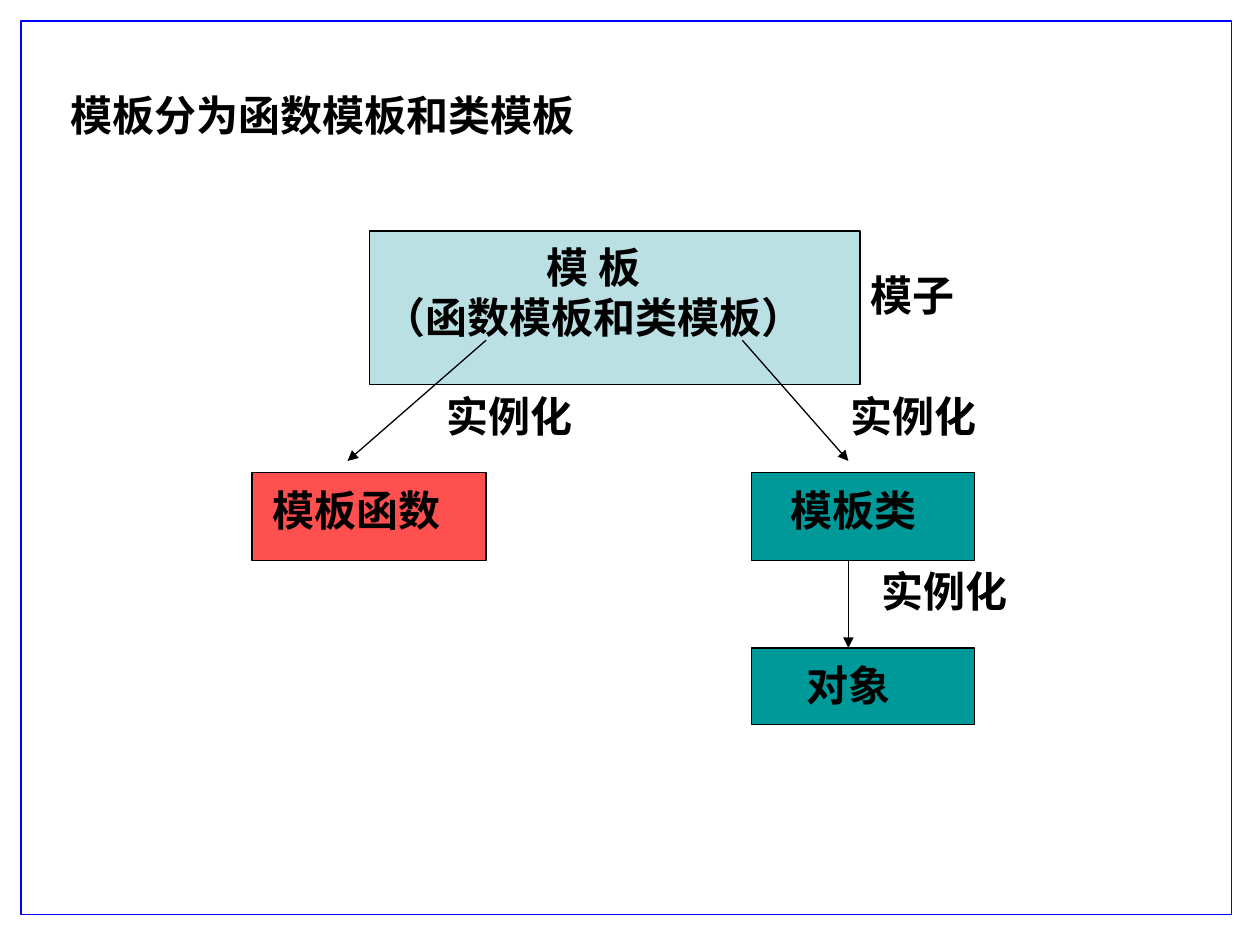
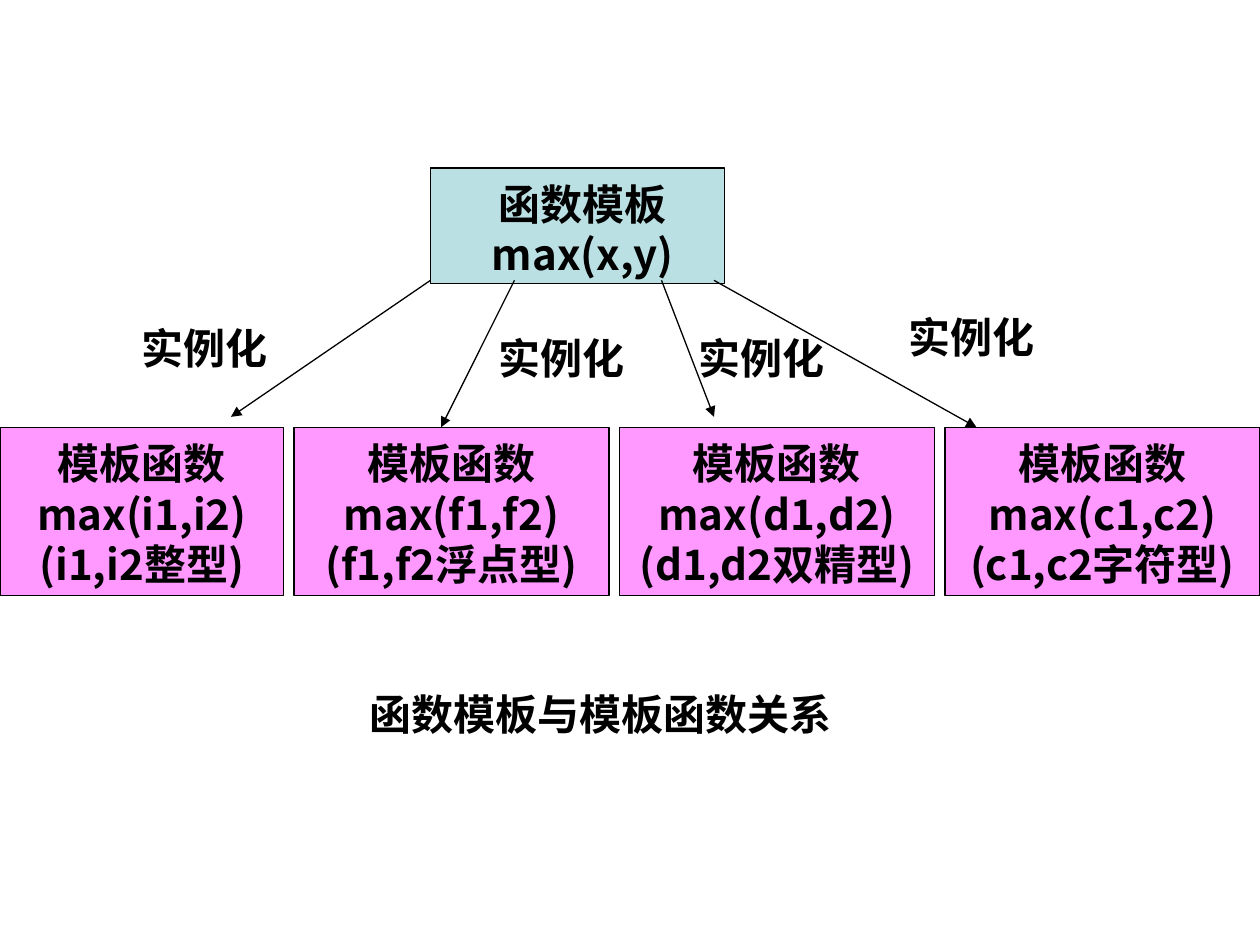
import pptx
import pptx.dml.color
import pptx.enum.shapes
import pptx.enum.text
import pptx.oxml
import pptx.oxml.ns
import pptx.util

COLORS = {
    "ink": "000000",
    "frame": "0000FF",
    "template": "BBE0E3",
    "function": "FF5050",
    "class": "009999",
    "instance": "FF99FF",
}
CJK_FONT = "Noto Sans CJK SC"
LATIN_FONT = "Arial"
INSTANTIATE = "实例化"


class TemplateDeck:
    """Draws boxes, labels and arrows on a grid of 120 columns by 90 rows."""

    def __init__(self):
        self.presentation = pptx.Presentation()
        self.presentation.slide_width = pptx.util.Inches(10)
        self.presentation.slide_height = pptx.util.Inches(7.5)
        self.column = self.presentation.slide_width / 120
        self.row = self.presentation.slide_height / 90
        self.slide = None

    def color(self, name):
        return pptx.dml.color.RGBColor.from_string(COLORS[name])

    def element(self, tag, attributes=""):
        namespace = pptx.oxml.ns.nsdecls("a")
        return pptx.oxml.parse_xml(f"<a:{tag} {namespace} {attributes}/>")

    def place(self, *cells):
        units = (self.column, self.row) * 2
        return [round(cell * unit) for cell, unit in zip(cells, units)]

    def add_slide(self, layout_index):
        layout = self.presentation.slide_layouts[layout_index]
        self.slide = self.presentation.slides.add_slide(layout)

    def text_run(self, paragraph, text, font_name=CJK_FONT):
        run = paragraph.add_run()
        run.text = text
        run.font.size = pptx.util.Pt(24)
        run.font.bold = True
        run.font.color.rgb = self.color("ink")
        run.font.name = font_name
        properties = run._r.get_or_add_rPr()
        properties.append(self.element("ea", f'typeface="{CJK_FONT}"'))

    def heading(self, text, cells):
        title = self.slide.shapes.title
        title.element.getparent().remove(title.element)
        body = self.slide.placeholders[1]
        body.left, body.top, body.width, body.height = self.place(*cells)
        frame = body.text_frame
        frame.auto_size = pptx.enum.text.MSO_AUTO_SIZE.NONE
        frame.margin_top = pptx.util.Inches(0.54)
        paragraph = frame.paragraphs[0]
        properties = paragraph._p.get_or_add_pPr()
        properties.set("marL", str(pptx.util.Inches(0.21)))
        properties.set("indent", "0")
        properties.append(self.element("buNone"))
        paragraph.space_before = pptx.util.Pt(0)
        self.text_run(paragraph, text)

    def box(self, cells, fill=None, line="ink"):
        shape = self.slide.shapes.add_shape(
            pptx.enum.shapes.MSO_SHAPE.RECTANGLE, *self.place(*cells))
        shape.shadow.inherit = False
        if fill:
            shape.fill.solid()
            shape.fill.fore_color.rgb = self.color(fill)
        else:
            shape.fill.background()
        shape.line.color.rgb = self.color(line)
        shape.line.width = pptx.util.Pt(0.75)

    def label(self, lines, cells, centered=True, inset=False, font_name=CJK_FONT):
        frame = self.slide.shapes.add_textbox(*self.place(*cells)).text_frame
        frame.word_wrap = True
        if not inset:
            frame.margin_left = frame.margin_right = 0
            frame.margin_top = frame.margin_bottom = 0
        for index, text in enumerate(lines):
            paragraph = frame.add_paragraph() if index else frame.paragraphs[0]
            if centered:
                paragraph.alignment = pptx.enum.text.PP_ALIGN.CENTER
            self.text_run(paragraph, text, font_name)

    def note(self, text, cells, font_name=CJK_FONT):
        self.label([text], cells, False, True, font_name)

    def arrow(self, *cells):
        connector = self.slide.shapes.add_connector(
            pptx.enum.shapes.MSO_CONNECTOR.STRAIGHT, *self.place(*cells))
        connector.line.color.rgb = self.color("ink")
        connector.line.width = pptx.util.Pt(0.75)
        properties = connector._element.spPr
        outline = properties.find(pptx.oxml.ns.qn("a:ln"))
        outline.append(self.element("tailEnd", 'type="triangle"'))
        properties.append(self.element("effectLst"))


def draw_template_kinds(deck):
    deck.add_slide(1)
    deck.heading("模板分为函数模板和类模板", (3, 2, 113.4, 83.2))
    deck.box((2, 2, 115.3, 85.1), line="frame")

    deck.box((35.2, 22, 46.7, 14.6), "template")
    deck.label(["模 板", "（函数模板和类模板）"], (35.2, 23, 42.6, 9.6))
    deck.box((24, 45, 22.3, 8.4), "function")
    deck.label(["模板函数"], (26, 46.1, 16.2, 4.8), centered=False)
    deck.box((71.6, 45, 21.2, 8.4), "class")
    deck.label(["模板类"], (72.6, 46.1, 17.3, 4.8))
    deck.box((71.6, 61.7, 21.2, 7.3), "class")
    deck.label(["对象"], (73.7, 62.8, 14.2, 4.8))

    deck.arrow(46.3, 32.4, 33.1, 43.9)
    deck.arrow(70.7, 32.4, 80.8, 43.9)
    deck.arrow(80.8, 53.3, 80.8, 61.7)
    for left, top in ((41.3, 36.6), (82.8, 53.3), (79.8, 36.6)):
        deck.note(INSTANTIATE, (left, top, 15.2, 6))
    deck.note("模子", (81.7, 25.1, 12.1, 6), LATIN_FONT)


def draw_function_instances(deck):
    deck.add_slide(6)
    deck.box((41, 16, 28, 11), "template")
    deck.label(["函数模板", "max(x,y)"], (40, 17, 31, 9.6))

    left = 0
    for letter, kind, width in (("i", "整型", 27), ("f", "浮点型", 30),
                                ("d", "双精型", 30), ("c", "字符型", 30)):
        arguments = f"{letter}1,{letter}2"
        deck.box((left, 40.7, width, 16), "instance")
        deck.label(["模板函数", f"max({arguments})", f"({arguments}{kind})"],
                   (left, 41.7, width, 14.4))
        left += width + 1

    for start, end, bottom in ((41, 22, 39.7), (49, 42, 40.7),
                               (63, 68, 39.7), (68, 93, 40.7)):
        deck.arrow(start, 26.7, end, bottom)
    for left, top in ((12, 30.7), (46, 31.7), (65, 31.7), (85, 29.7)):
        deck.label([INSTANTIATE], (left, top, 15, 4.8))
    deck.note("函数模板与模板函数关系", (34, 65, 50, 6), LATIN_FONT)


def main():
    deck = TemplateDeck()
    draw_template_kinds(deck)
    draw_function_instances(deck)
    deck.presentation.save("out.pptx")


if __name__ == "__main__":
    main()
